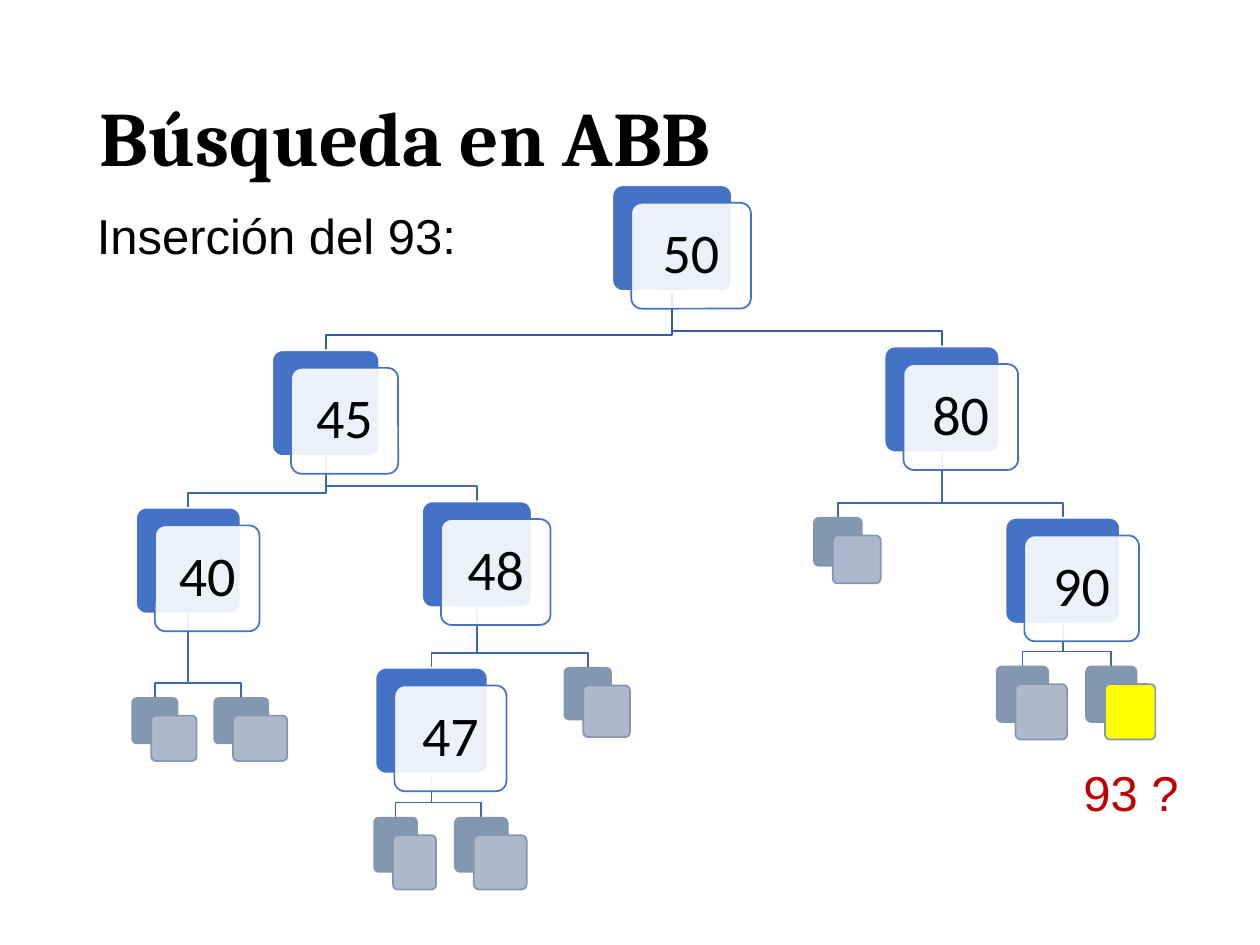
import dataclasses
import typing

import lxml.etree
import pptx
import pptx.dml.color
import pptx.enum.shapes
import pptx.enum.text
import pptx.oxml.ns
import pptx.util

Inches = pptx.util.Inches
RGBColor = pptx.dml.color.RGBColor

BLACK = RGBColor(0x00, 0x00, 0x00)
WHITE = RGBColor(0xFF, 0xFF, 0xFF)
BLUE = RGBColor(0x44, 0x72, 0xC4)
ROOT_EDGE = RGBColor(0x36, 0x5B, 0x9D)
EDGE = RGBColor(0x3E, 0x67, 0xB2)
SLATE = RGBColor(0x84, 0x97, 0xB0)
PALE_SLATE = RGBColor(0xAD, 0xB9, 0xCA)
YELLOW = RGBColor(0xFF, 0xFF, 0x00)
RED = RGBColor(0xC0, 0x00, 0x00)

KEY_HEIGHT = 0.84
CARD_SHIFT = (0.15, 0.14)
ELBOW_GAP = 0.12


@dataclasses.dataclass
class Node:
    """A tree node; one without a key is an empty subtree."""
    left: float
    top: float
    width: float
    height: float = KEY_HEIGHT
    key: str = ""
    card_fill: RGBColor = PALE_SLATE
    children: typing.Sequence["Node"] = ()

    @property
    def middle(self):
        return self.left + self.width / 2

    @property
    def bottom(self):
        return self.top + self.height


class TreeSlide:
    def __init__(self, deck):
        self.page = deck.slides.add_slide(deck.slide_layouts[6])

    def add_text(self, frame, words, size, font, color, bold=False, spacing=None):
        para = frame.paragraphs[0]
        para.line_spacing = spacing
        span = para.add_run()
        span.text = words
        span.font.size = pptx.util.Pt(size)
        span.font.name = font
        span.font.bold = bold
        span.font.color.rgb = color
        return para

    def title(self, words, left, top, width, height):
        box = self.page.shapes.add_textbox(*map(Inches, (left, top, width, height)))
        frame = box.text_frame
        frame.word_wrap = True
        frame.vertical_anchor = pptx.enum.text.MSO_ANCHOR.MIDDLE
        self.add_text(frame, words, 44, "Cambria", BLACK, bold=True, spacing=0.9)

    def label(self, words, left, top, width, height, color=BLACK):
        box = self.page.shapes.add_textbox(*map(Inches, (left, top, width, height)))
        box.text_frame.word_wrap = False
        box.text_frame.auto_size = pptx.enum.text.MSO_AUTO_SIZE.SHAPE_TO_FIT_TEXT
        self.add_text(box.text_frame, words, 28, "Arial", color)

    def card(self, left, top, width, height, fill, line, opacity=100):
        shape = self.page.shapes.add_shape(
            pptx.enum.shapes.MSO_SHAPE.ROUNDED_RECTANGLE,
            *map(Inches, (left, top, width, height)))
        shape.adjustments[0] = 0.1
        shape.shadow.inherit = False
        shape.fill.solid()
        shape.fill.fore_color.rgb = fill
        shape.line.color.rgb = line
        shape.line.width = pptx.util.Pt(1)
        if opacity < 100:
            color = shape.element.spPr.find(
                "/".join(map(pptx.oxml.ns.qn, ("a:solidFill", "a:srgbClr"))))
            alpha = lxml.etree.SubElement(color, pptx.oxml.ns.qn("a:alpha"))
            alpha.set("val", str(opacity * 1000))
        return shape

    def node(self, node):
        size = (node.width, node.height)
        front = (node.left + CARD_SHIFT[0], node.top + CARD_SHIFT[1], *size)
        if node.key:
            self.card(node.left, node.top, *size, BLUE, WHITE)
            frame = self.card(*front, WHITE, BLUE, opacity=90).text_frame
            frame.margin_left = frame.margin_right = Inches(0.13)
            frame.margin_top = frame.margin_bottom = Inches(0.13)
            frame.vertical_anchor = pptx.enum.text.MSO_ANCHOR.MIDDLE
            para = self.add_text(frame, node.key, 32, "Calibri", BLACK, spacing=0.9)
            para.alignment = pptx.enum.text.PP_ALIGN.CENTER
        else:
            self.card(node.left, node.top, *size, SLATE, SLATE)
            self.card(*front, node.card_fill, SLATE)
        for child in node.children:
            self.node(child)

    def elbow(self, parent, child, color):
        bend = child.top - ELBOW_GAP
        points = [(parent.middle, parent.bottom), (parent.middle, bend),
                  (child.middle, bend), (child.middle, child.top)]
        start, *rest = [(Inches(x), Inches(y)) for x, y in points]
        builder = self.page.shapes.build_freeform(*start)
        builder.add_line_segments(rest, close=False)
        shape = builder.convert_to_shape()
        shape.shadow.inherit = False
        shape.fill.background()
        shape.line.color.rgb = color
        shape.line.width = pptx.util.Pt(1)

    def edges(self, parent, color=EDGE):
        for child in parent.children:
            self.elbow(parent, child, color)
            self.edges(child)


def search_tree():
    node_40 = Node(1.08, 4.03, 0.83, key="40", children=[
        Node(1.05, 5.54, 0.36, 0.36), Node(1.7, 5.54, 0.43, 0.36)])
    node_47 = Node(2.98, 5.3, 0.89, key="47", children=[
        Node(2.97, 6.49, 0.34, 0.43), Node(3.61, 6.49, 0.42, 0.43)])
    node_48 = Node(3.35, 3.98, 0.87, key="48", children=[
        node_47, Node(4.48, 5.3, 0.37, 0.41)])
    node_90 = Node(7.98, 4.11, 0.91, key="90", children=[
        Node(7.91, 5.29, 0.41, 0.44),
        Node(8.62, 5.29, 0.4, 0.44, card_fill=YELLOW)])
    node_45 = Node(2.16, 2.78, 0.85, key="45", children=[node_40, node_48])
    node_80 = Node(7.02, 2.75, 0.91, key="80", children=[
        Node(6.46, 4.11, 0.38, 0.38), node_90])
    return Node(4.86, 1.47, 0.95, key="50", children=[node_45, node_80])


def main():
    deck = pptx.Presentation()
    deck.slide_width, deck.slide_height = Inches(10), Inches(7.5)
    slide = TreeSlide(deck)

    # Heading
    slide.title("Búsqueda en ABB", 0.69, 0.4, 8.62, 1.45)

    # Tree: edges behind the nodes
    root = search_tree()
    slide.edges(root, ROOT_EDGE)
    slide.node(root)

    # Labels for the key being inserted
    slide.label("93 ?", 8.5, 6, 0.97, 0.57, RED)
    slide.label("Inserción del 93:", 0.67, 1.58, 3.09, 0.57)

    deck.save("out.pptx")


if __name__ == "__main__":
    main()
